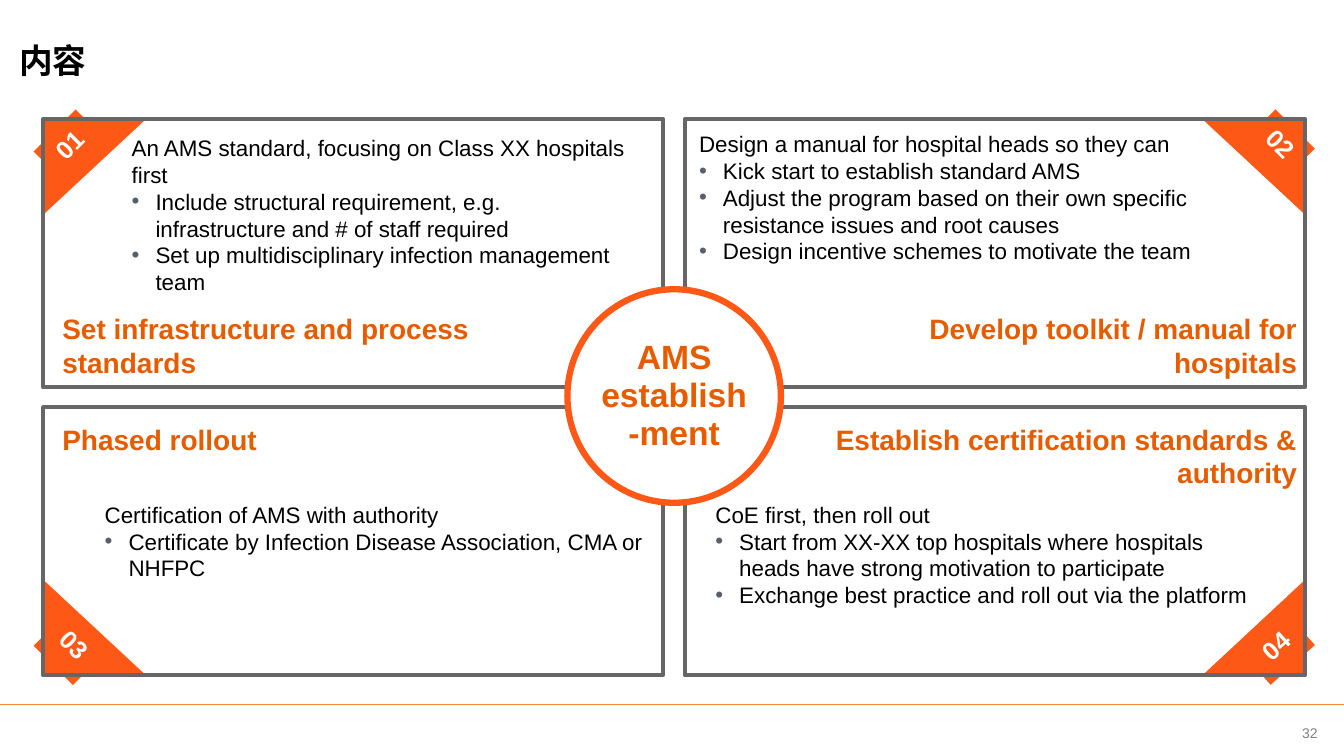
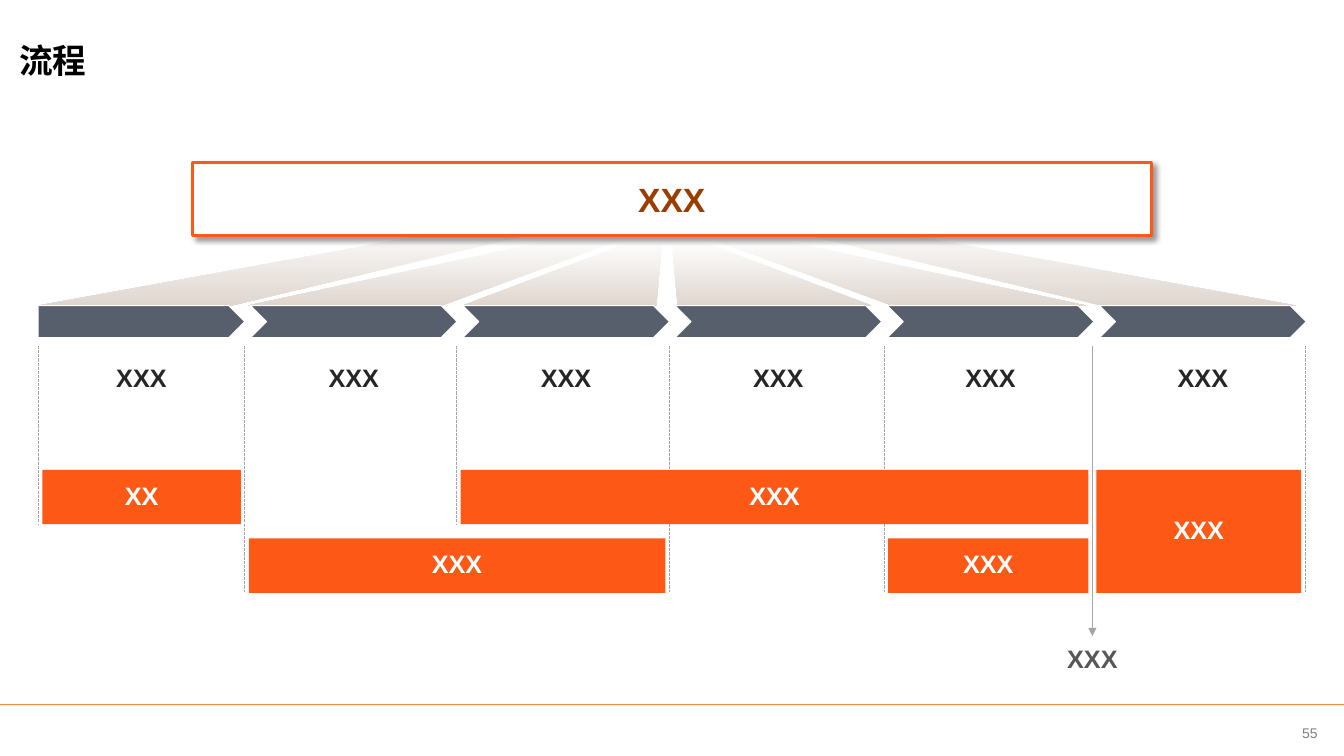
import pptx
import pptx.chart.data
import pptx.dml.color
import pptx.enum.dml
import pptx.enum.shapes
import pptx.enum.text
import pptx.oxml.ns
import pptx.util
from lxml import etree

Cm, Pt = pptx.util.Cm, pptx.util.Pt
SHAPE = pptx.enum.shapes.MSO_SHAPE
ALIGN = pptx.enum.text.PP_ALIGN
ANCHOR = pptx.enum.text.MSO_ANCHOR
qn = pptx.oxml.ns.qn

COLORS = {
    "white": "FFFFFF", "black": "000000", "orange": "FE5817",
    "heading": "E75C01", "rule": "FE8637", "frame": "666666",
    "page": "808080", "slate": "575F6D", "fan": "DFD6CF",
    "separator": "A6A6A6", "label": "262626", "goal": "9A3D01",
    "milestone": "575757",
}
SLIDE_W, SLIDE_H = 33.87, 19.05

# Two rows and two columns of cards
CARD_W, CARD_H = 15.62, 6.76
CARD_LEFTS, CARD_TOPS = (1.09, 17.27), (3.0, 10.26)
CORNER_W, CORNER_H, BADGE_INSET = 2.59, 2.41, 0.7
HEADINGS = ((1.57, 12.7, ALIGN.LEFT), (20.47, 12.22, ALIGN.RIGHT))
HEADING_TOPS = (7.85, 10.64)
# number, corner turn, badge turn, badge size, heading, body box, body lines
CARDS = [
    ("01", 90, 315, (1.5, 1.17), "Set infrastructure and process standards",
     (3.02, 3.38, 12.85, 4.55),
     ["An AMS standard, focusing on Class XX hospitals first",
      "Include structural requirement, e.g. infrastructure and # of staff required",
      "Set up multidisciplinary infection management team"]),
    ("02", 180, 45, (1.4, 1.27), "Develop toolkit / manual for hospitals",
     (17.32, 3.28, 14.55, 3.99),
     ["Design a manual for hospital heads so they can",
      "Kick start to establish standard AMS",
      "Adjust the program based on their own specific resistance issues and root causes",
      "Design incentive schemes to motivate the team"]),
    ("03", 0, 45, (1.4, 1.27), "Phased rollout",
     (2.34, 12.62, 14.17, 3.96),
     ["Certification of AMS with authority",
      "Certificate by Infection Disease Association, CMA or NHFPC"]),
    ("04", 270, 318, (1.5, 1.17), "Establish certification standards & authority",
     (17.73, 12.62, 14.17, 3.96),
     ["CoE first, then roll out",
      "Start from XX-XX top hospitals where hospitals heads have strong motivation to participate",
      "Exchange best practice and roll out via the platform"]),
]

# Process stages
STAGES, STAGE_LEFT, STAGE_PITCH, STAGE_W = 6, 0.96, 5.35, 5.21
STAGE_TOP, STAGE_H = 7.7, 0.81
SEPARATOR_TOP = 8.72
SEPARATOR_XS = (0.97, 6.17, 11.51, 16.87, 22.28, 27.53, 32.89)
SEPARATOR_ENDS = (13.2, 14.92, 13.2, 14.92, 14.92, None, 14.92)
MILESTONE = 5
BAR_TOP, BAR_H, BAR_PITCH, BAR_GAP = 11.84, 1.37, 1.73, 0.1
# first separator, last separator, row, rows spanned, text
BARS = [(0, 1, 0, 1, "XX"), (1, 3, 1, 1, "XXX"), (2, 5, 0, 1, "XXX"),
        (4, 5, 1, 1, "XXX"), (5, 6, 0, 2, "XXX")]
FAN_WIDTH = 33.62
FAN_LEFT_HALF = [
    [(12.55, 5.59), (14.12, 5.72), (5.84, 7.7), (0.97, 7.7)],
    [(14.2, 5.99), (15.62, 6.05), (11.13, 7.7), (6.25, 7.7)],
    [(15.98, 6.07), (16.69, 6.1), (16.54, 7.7), (11.66, 7.7)],
]


def rgb(color):
    return pptx.dml.color.RGBColor.from_string(COLORS[color])


def paint(shape, fill=None, line=None, width=0.75):
    shape.shadow.inherit = False
    if fill:
        shape.fill.solid()
        shape.fill.fore_color.rgb = rgb(fill)
    else:
        shape.fill.background()
    if line:
        shape.line.color.rgb = rgb(line)
        shape.line.width = Pt(width)
    else:
        shape.line.fill.background()


def add_box(slide, kind, box, fill=None, line=None, width=0.75):
    shape = slide.shapes.add_shape(kind, *map(Cm, box))
    paint(shape, fill, line, width)
    return shape


def format_runs(paragraph, size, color, bold, font):
    for run in paragraph.runs:
        run.font.size = Pt(size)
        run.font.bold = bold
        run.font.color.rgb = rgb(color)
        run.font.name = font
        east_asian = etree.SubElement(run._r.get_or_add_rPr(), qn("a:ea"))
        east_asian.set("typeface", font)


def write(shape, text, size, color, bold=True, font="Arial", align=ALIGN.CENTER,
          anchor=ANCHOR.MIDDLE, inset=0, wrap=True, spacing=None, after=None):
    """Fill the shape with text, one paragraph for each line of it."""
    frame = shape.text_frame
    frame.text = text
    frame.word_wrap = wrap
    frame.vertical_anchor = anchor
    frame.margin_left = frame.margin_right = Cm(inset)
    frame.margin_top = frame.margin_bottom = Cm(min(inset, 0.13))
    for paragraph in frame.paragraphs:
        paragraph.alignment = align
        if spacing:
            paragraph.line_spacing = spacing
        if after:
            paragraph.space_after = Pt(after)
        format_runs(paragraph, size, color, bold, font)


def add_text(slide, box, text, size, color, **style):
    text_box = slide.shapes.add_textbox(*map(Cm, box))
    write(text_box, text, size, color, **style)
    return text_box


def indent(paragraph, left, first=0.0):
    properties = paragraph._p.get_or_add_pPr()
    properties.set("marL", str(Cm(left)))
    properties.set("indent", str(Cm(first)))
    return properties


def add_body(slide, box, lines):
    """A lead line followed by bullets."""
    body = add_text(slide, box, "\n".join(lines), 16, "black", bold=False,
                    align=ALIGN.LEFT, anchor=ANCHOR.TOP)
    lead, *points = body.text_frame.paragraphs
    indent(lead, 0.3)
    for point in points:
        properties = indent(point, 0.9, -0.6)
        bullet_color = etree.SubElement(properties, qn("a:buClr"))
        etree.SubElement(bullet_color, qn("a:srgbClr")).set("val", COLORS["slate"])
        etree.SubElement(properties, qn("a:buFont")).set("typeface", "Arial")
        etree.SubElement(properties, qn("a:buChar")).set("char", "•")


def add_line(slide, start, end, color, width=0.75, dashed=False, arrow=False):
    line = slide.shapes.add_connector(
        pptx.enum.shapes.MSO_CONNECTOR.STRAIGHT, *map(Cm, start + end))
    line.line.color.rgb = rgb(color)
    line.line.width = Pt(width)
    if dashed:
        line.line.dash_style = pptx.enum.dml.MSO_LINE.SQUARE_DOT
    if arrow:
        tail = etree.SubElement(line.line._get_or_add_ln(), qn("a:tailEnd"))
        tail.set("type", "triangle")
    etree.SubElement(line._element.spPr, qn("a:effectLst"))
    return line


def add_drop_shadow(shape):
    effects = shape._element.spPr.find(qn("a:effectLst"))
    shadow = etree.SubElement(effects, qn("a:outerShdw"), blurRad=str(Pt(4)),
                              dist=str(Pt(3)), dir="2700000", algn="tl",
                              rotWithShape="0")
    color = etree.SubElement(shadow, qn("a:srgbClr"), val=COLORS["black"])
    etree.SubElement(color, qn("a:alpha"), val="40000")


def add_framed_slide(prs, title, page):
    """A blank slide with the shared title, footer rule and page number."""
    slide = prs.slides.add_slide(prs.slide_layouts[6])
    add_text(slide, (32.16, 17.88, 1.7, 1.17), page, 10, "page", bold=False)
    add_line(slide, (0, 17.75), (SLIDE_W, 17.75), "rule", 1)
    add_text(slide, (0.48, 0.51, 30.38, 2.01), title, 24, "black",
             font="Noto Sans CJK SC", align=ALIGN.LEFT)
    return slide


def add_card(slide, row, column, card):
    number, corner_turn, badge_turn, (badge_w, badge_h), heading, body, lines = card
    left, top = CARD_LEFTS[column], CARD_TOPS[row]
    # The outer corner of the card holds the triangle and its badge
    center_x = left + (CARD_W - CORNER_W) * column + CORNER_W / 2
    center_y = top + (CARD_H - CORNER_H) * row + CORNER_H / 2
    corner_w, corner_h = CORNER_W, CORNER_H
    if corner_turn % 180:
        corner_w, corner_h = corner_h, corner_w
    corner = add_box(slide, SHAPE.RIGHT_TRIANGLE,
                     (center_x - corner_w / 2, center_y - corner_h / 2,
                      corner_w, corner_h), "orange")
    corner.rotation = corner_turn

    badge_x = left + CARD_W - BADGE_INSET if column else left + BADGE_INSET
    badge_y = top + CARD_H - BADGE_INSET if row else top + BADGE_INSET
    badge = add_box(slide, SHAPE.RECTANGLE,
                    (badge_x - badge_w / 2, badge_y - badge_h / 2,
                     badge_w, badge_h), "orange")
    badge.rotation = badge_turn
    write(badge, number, 18, "white", anchor=ANCHOR.TOP, inset=0.25, wrap=False)

    add_box(slide, SHAPE.RECTANGLE, (left, top, CARD_W, CARD_H),
            line="frame", width=3)
    heading_left, heading_w, align = HEADINGS[column]
    add_text(slide, (heading_left, HEADING_TOPS[row], heading_w, 1.78), heading,
             20, "heading", align=align, anchor=ANCHOR.TOP)
    add_body(slide, body, lines)


def build_content_slide(prs):
    slide = add_framed_slide(prs, "内容", "32")
    for index, card in enumerate(CARDS):
        row, column = divmod(index, 2)
        add_card(slide, row, column, card)
    hub = add_box(slide, SHAPE.OVAL, (14.3, 7.29, 5.38, 5.38),
                  "white", "orange", 4.5)
    write(hub, "AMS establish-ment", 24, "heading", spacing=0.95, after=3)


def add_fan_blade(slide, points):
    start, *others = [(Cm(x), Cm(y)) for x, y in points]
    builder = slide.shapes.build_freeform(*start)
    builder.add_line_segments(others, close=True)
    blade = builder.convert_to_shape()
    paint(blade)
    blade.fill.gradient()
    blade.fill.gradient_angle = 270
    for stop, color in zip(blade.fill.gradient_stops, ("white", "fan")):
        stop.color.rgb = rgb(color)


def add_separators(slide):
    for index, (x, end) in enumerate(zip(SEPARATOR_XS, SEPARATOR_ENDS)):
        if index == MILESTONE:
            milestone = add_text(slide, (x - 1.2, 16.03, 2.4, 1.14), "XXX", 18,
                                 "milestone", inset=0.25)
            arrow = add_line(slide, (x, SEPARATOR_TOP), (x, 16.03),
                             "separator", arrow=True)
            arrow.end_connect(milestone, 0)
        else:
            add_line(slide, (x, SEPARATOR_TOP), (x, end), "separator", dashed=True)


def build_process_slide(prs):
    slide = add_framed_slide(prs, "流程", "55")
    for points in FAN_LEFT_HALF:
        add_fan_blade(slide, points)
        add_fan_blade(slide, [(FAN_WIDTH - x, y) for x, y in points])

    goal = add_box(slide, SHAPE.RECTANGLE, (4.85, 4.09, 24.16, 1.85),
                   "white", "orange", 2.25)
    add_drop_shadow(goal)
    write(goal, "XXX", 24, "goal", inset=0.33)

    for index in range(STAGES):
        left = STAGE_LEFT + index * STAGE_PITCH
        label = add_box(slide, SHAPE.RECTANGLE, (left, 8.71, STAGE_W, 1.6),
                        "white", "white")
        write(label, "XXX", 18, "label", wrap=False)
        add_box(slide, SHAPE.CHEVRON if index else SHAPE.PENTAGON,
                (left, STAGE_TOP, STAGE_W, STAGE_H), "slate", "white")

    add_separators(slide)
    for first, last, row, rows, text in BARS:
        left = SEPARATOR_XS[first] + BAR_GAP
        bar = add_box(slide, SHAPE.RECTANGLE,
                      (left, BAR_TOP + row * BAR_PITCH,
                       SEPARATOR_XS[last] - BAR_GAP - left,
                       BAR_H + (rows - 1) * BAR_PITCH), "orange")
        write(bar, text, 18, "white", inset=0.25, spacing=0.9, after=10)


def main():
    prs = pptx.Presentation()
    prs.slide_width, prs.slide_height = Cm(SLIDE_W), Cm(SLIDE_H)
    build_content_slide(prs)
    build_process_slide(prs)
    prs.save("out.pptx")


if __name__ == "__main__":
    main()
